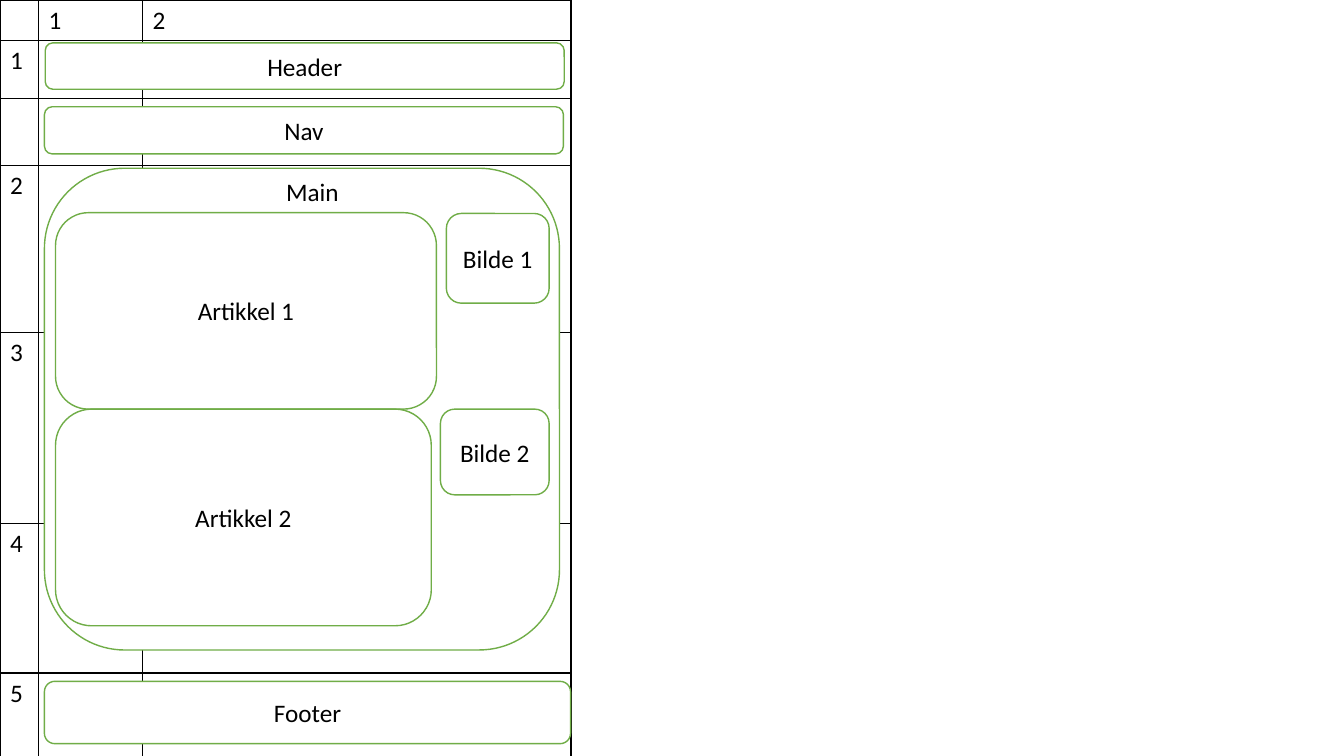
from lxml import etree
from pptx import Presentation
from pptx.dml.color import RGBColor
from pptx.enum.shapes import MSO_SHAPE
from pptx.enum.text import MSO_ANCHOR, MSO_AUTO_SIZE, PP_ALIGN
from pptx.oxml.ns import qn
from pptx.util import Cm, Pt

BLACK = RGBColor(0x00, 0x00, 0x00)
WHITE = RGBColor(0xFF, 0xFF, 0xFF)
GREEN = RGBColor(0x70, 0xAD, 0x47)
FONT = {"name": "Calibri", "size": Pt(18)}

COLUMNS = [("", 0.97), ("1", 2.62), ("2", 10.8)]
ROWS = [("", 1.02), ("1", 1.45), ("", 1.7), ("2", 4.19),
        ("3", 4.83), ("4", 3.76), ("5", 2.31)]
BOXES = [
    ("Header", 1.14, 1.08, 13.08, 1.17),
    ("Nav", 1.12, 2.69, 13.08, 1.19),
    ("", 1.12, 4.24, 12.98, 12.14),
    ("Footer", 1.12, 17.17, 13.26, 1.57),
    ("Artikkel 1", 1.4, 5.36, 9.6, 4.95),
    ("Artikkel 2", 1.4, 10.31, 9.47, 5.46),
    ("Bilde 1", 11.25, 5.38, 2.59, 2.26),
    ("Bilde 2", 11.1, 10.31, 2.74, 2.16),
]
MAIN_LABEL = ("Main", 6.96, 4.32, 1.85, 1.02)


def write(tf, text, align=PP_ALIGN.LEFT):
    p = tf.paragraphs[0]
    p.alignment = align
    r = p.add_run()
    r.text = text
    for key, value in FONT.items():
        setattr(r.font, key, value)
    r.font.color.rgb = BLACK


def add_borders(cell):
    tc_pr = cell._tc.get_or_add_tcPr()
    for side in ("lnL", "lnR", "lnT", "lnB"):
        ln = etree.SubElement(tc_pr, qn(f"a:{side}"), w=str(Pt(1)))
        fill = etree.SubElement(ln, qn("a:solidFill"))
        etree.SubElement(fill, qn("a:srgbClr"), val=str(BLACK))


def add_grid(s):
    width = sum(w for _, w in COLUMNS)
    height = sum(h for _, h in ROWS)
    table = s.shapes.add_table(len(ROWS), len(COLUMNS), 0, 0,
                               Cm(width), Cm(height)).table
    table.first_row = table.horz_banding = False
    for column, (_, w) in zip(table.columns, COLUMNS):
        column.width = Cm(w)
    for i, (row_name, h) in enumerate(ROWS):
        table.rows[i].height = Cm(h)
        for j, (column_name, _) in enumerate(COLUMNS):
            cell = table.cell(i, j)
            add_borders(cell)
            cell.fill.background()
            text = column_name if i == 0 else row_name if j == 0 else ""
            if text:
                write(cell.text_frame, text)


def add_box(s, text, *place):
    sp = s.shapes.add_shape(MSO_SHAPE.ROUNDED_RECTANGLE, *map(Cm, place))
    sp.shadow.inherit = False
    sp.fill.solid()
    sp.fill.fore_color.rgb = WHITE
    sp.line.color.rgb = GREEN
    sp.line.width = Pt(1)
    sp.text_frame.vertical_anchor = MSO_ANCHOR.MIDDLE
    if text:
        write(sp.text_frame, text, PP_ALIGN.CENTER)


def add_label(s, text, *place):
    tf = s.shapes.add_textbox(*map(Cm, place)).text_frame
    tf.word_wrap = False
    tf.auto_size = MSO_AUTO_SIZE.SHAPE_TO_FIT_TEXT
    write(tf, text)


prs = Presentation()
prs.slide_width, prs.slide_height = Cm(33.87), Cm(19.05)
s = prs.slides.add_slide(prs.slide_layouts[6])
add_grid(s)
for box in BOXES:
    add_box(s, *box)
add_label(s, *MAIN_LABEL)
prs.save("out.pptx")
